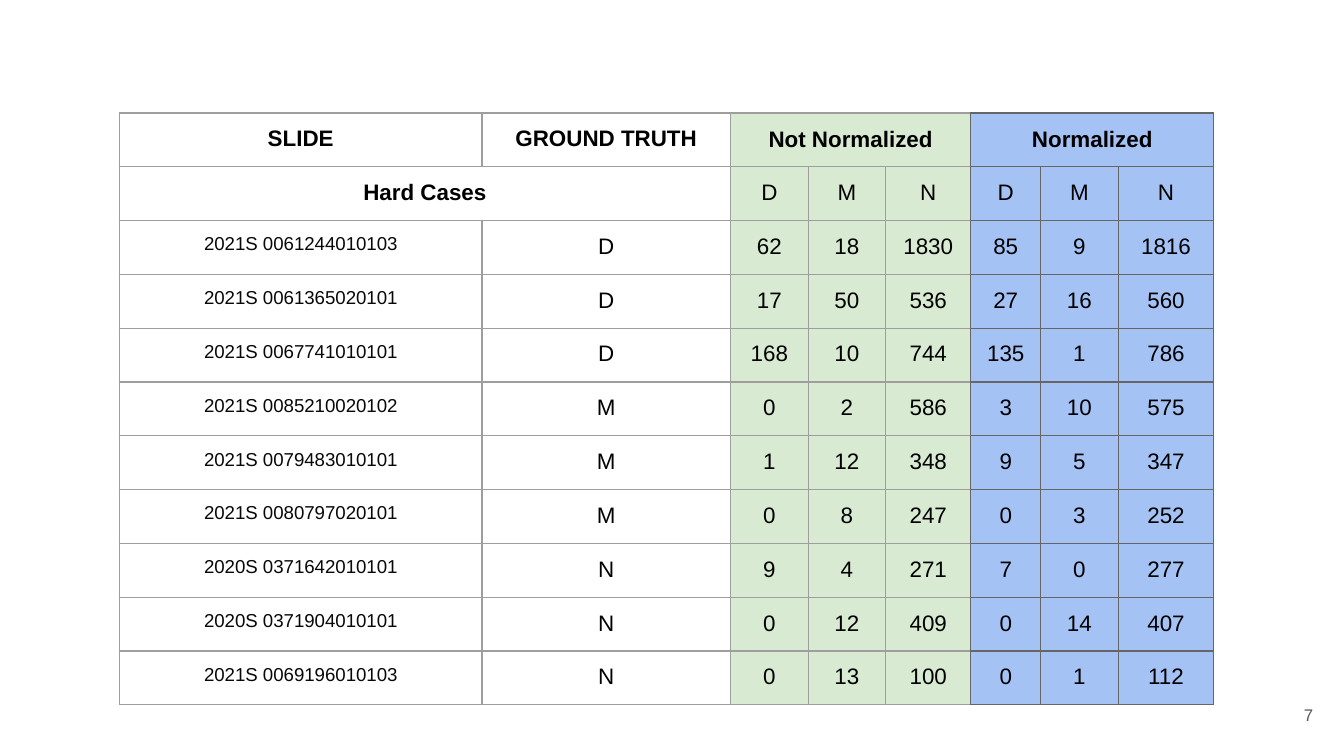
from dataclasses import dataclass

from lxml import etree
from pptx import Presentation
from pptx.dml.color import RGBColor
from pptx.enum.text import MSO_ANCHOR, PP_ALIGN
from pptx.oxml.ns import qn
from pptx.util import Pt

TOP, MIDDLE = MSO_ANCHOR.TOP, MSO_ANCHOR.MIDDLE
CENTER, RIGHT = PP_ALIGN.CENTER, PP_ALIGN.RIGHT
BLANK_LAYOUT = 6
FONT = "Arial"
INSET = Pt(7.2)
BORDER_WIDTH = Pt(0.75)
ROW_HEIGHT = 28.8
COLUMN_WIDTHS = [194.2, 133.2, 41.6, 41.6, 45.6, 37.4, 41.6, 51.2]
FIRST_GREEN, FIRST_BLUE = 2, 5
COLORS = {
    "black": "000000",
    "slide_id": "080808",
    "page_number": "595959",
    "green": "D9EAD3",
    "blue": "A4C2F4",
    "border": "9E9E9E",
    "dark_border": "666666",
}


@dataclass
class Case:
    slide_id: str
    truth: str
    not_normalized: tuple[int, int, int]
    normalized: tuple[int, int, int]

    def texts(self) -> list[str]:
        counts = self.not_normalized + self.normalized
        return [self.slide_id, self.truth, *map(str, counts)]


@dataclass
class TextStyle:
    size: float = 12
    color: str = "black"
    bold: bool = False
    align: PP_ALIGN = CENTER


CASES = [
    Case("2021S 0061244010103", "D", (62, 18, 1830), (85, 9, 1816)),
    Case("2021S 0061365020101", "D", (17, 50, 536), (27, 16, 560)),
    Case("2021S 0067741010101", "D", (168, 10, 744), (135, 1, 786)),
    Case("2021S 0085210020102", "M", (0, 2, 586), (3, 10, 575)),
    Case("2021S 0079483010101", "M", (1, 12, 348), (9, 5, 347)),
    Case("2021S 0080797020101", "M", (0, 8, 247), (0, 3, 252)),
    Case("2020S 0371642010101", "N", (9, 4, 271), (7, 0, 277)),
    Case("2020S 0371904010101", "N", (0, 12, 409), (0, 14, 407)),
    Case("2021S 0069196010103", "N", (0, 13, 100), (0, 1, 112)),
]
ROWS = [
    ["SLIDE", "GROUND TRUTH", "Not Normalized", "", "", "Normalized", "", ""],
    ["Hard Cases", "", *"DMNDMN"],
    *(case.texts() for case in CASES),
]


def write_text(text_frame, text: str, style: TextStyle) -> None:
    text_frame.text = text
    paragraph = text_frame.paragraphs[0]
    paragraph.alignment = style.align
    for run in paragraph.runs:
        run.font.name = FONT
        run.font.size = Pt(style.size)
        run.font.bold = style.bold
        run.font.color.rgb = RGBColor.from_string(COLORS[style.color])


def set_insets(target) -> None:
    target.margin_left = target.margin_right = INSET
    target.margin_top = target.margin_bottom = INSET


def set_borders(cell, row: int, column: int) -> None:
    dark = column >= FIRST_BLUE
    beside_blue = column == FIRST_BLUE - 1 or (row == 0 and column >= FIRST_GREEN)
    properties = cell._tc.get_or_add_tcPr()
    for side in ("lnL", "lnR", "lnT", "lnB"):
        color = "dark_border" if dark or (side == "lnR" and beside_blue) else "border"
        line = etree.SubElement(properties, qn(f"a:{side}"), w=str(BORDER_WIDTH))
        fill = etree.SubElement(line, qn("a:solidFill"))
        etree.SubElement(fill, qn("a:srgbClr"), val=COLORS[color])


def set_fill(cell, column: int) -> None:
    if column < FIRST_GREEN:
        cell.fill.background()
        return
    cell.fill.solid()
    color = "blue" if column >= FIRST_BLUE else "green"
    cell.fill.fore_color.rgb = RGBColor.from_string(COLORS[color])


def cell_style(row: int, column: int) -> TextStyle:
    if row >= 2 and column == 0:
        return TextStyle(size=10, color="slide_id")
    return TextStyle(bold=row == 0 or (row == 1 and column == 0))


def add_results_table(slide) -> None:
    table = slide.shapes.add_table(
        len(ROWS), len(COLUMN_WIDTHS), Pt(64), Pt(60.5),
        Pt(sum(COLUMN_WIDTHS)), Pt(ROW_HEIGHT * len(ROWS)),
    ).table
    table.first_row = table.horz_banding = False
    for column, width in zip(table.columns, COLUMN_WIDTHS):
        column.width = Pt(width)
    for row in table.rows:
        row.height = Pt(ROW_HEIGHT)
    for row, texts in enumerate(ROWS):
        for column, text in enumerate(texts):
            cell = table.cell(row, column)
            set_borders(cell, row, column)
            set_fill(cell, column)
            set_insets(cell)
            cell.vertical_anchor = MIDDLE if row == 0 and column >= FIRST_GREEN else TOP
            write_text(cell.text_frame, text, cell_style(row, column))
    for row, first, last in ((0, 2, 4), (0, 5, 7), (1, 0, 1)):
        table.cell(row, first).merge(table.cell(row, last))


def add_page_number(slide, number: str) -> None:
    box = slide.shapes.add_textbox(Pt(667.4), Pt(367.2), Pt(43.2), Pt(31))
    text_frame = box.text_frame
    text_frame.word_wrap = True
    text_frame.vertical_anchor = MIDDLE
    set_insets(text_frame)
    write_text(text_frame, number, TextStyle(9, "page_number", align=RIGHT))


def main() -> None:
    presentation = Presentation()
    presentation.slide_width, presentation.slide_height = Pt(720), Pt(405)
    slide = presentation.slides.add_slide(presentation.slide_layouts[BLANK_LAYOUT])
    add_page_number(slide, "7")
    add_results_table(slide)
    presentation.save("out.pptx")


if __name__ == "__main__":
    main()
